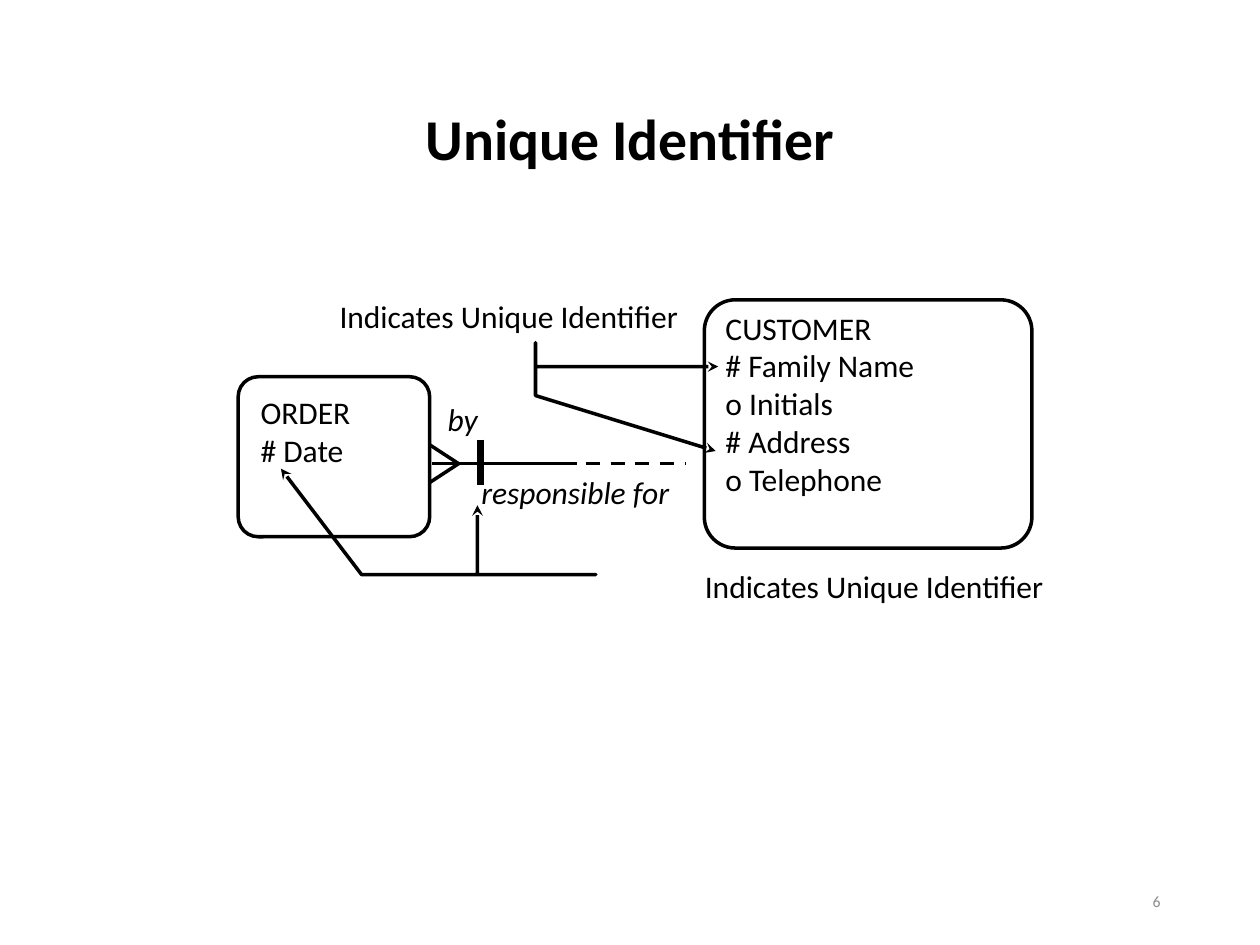
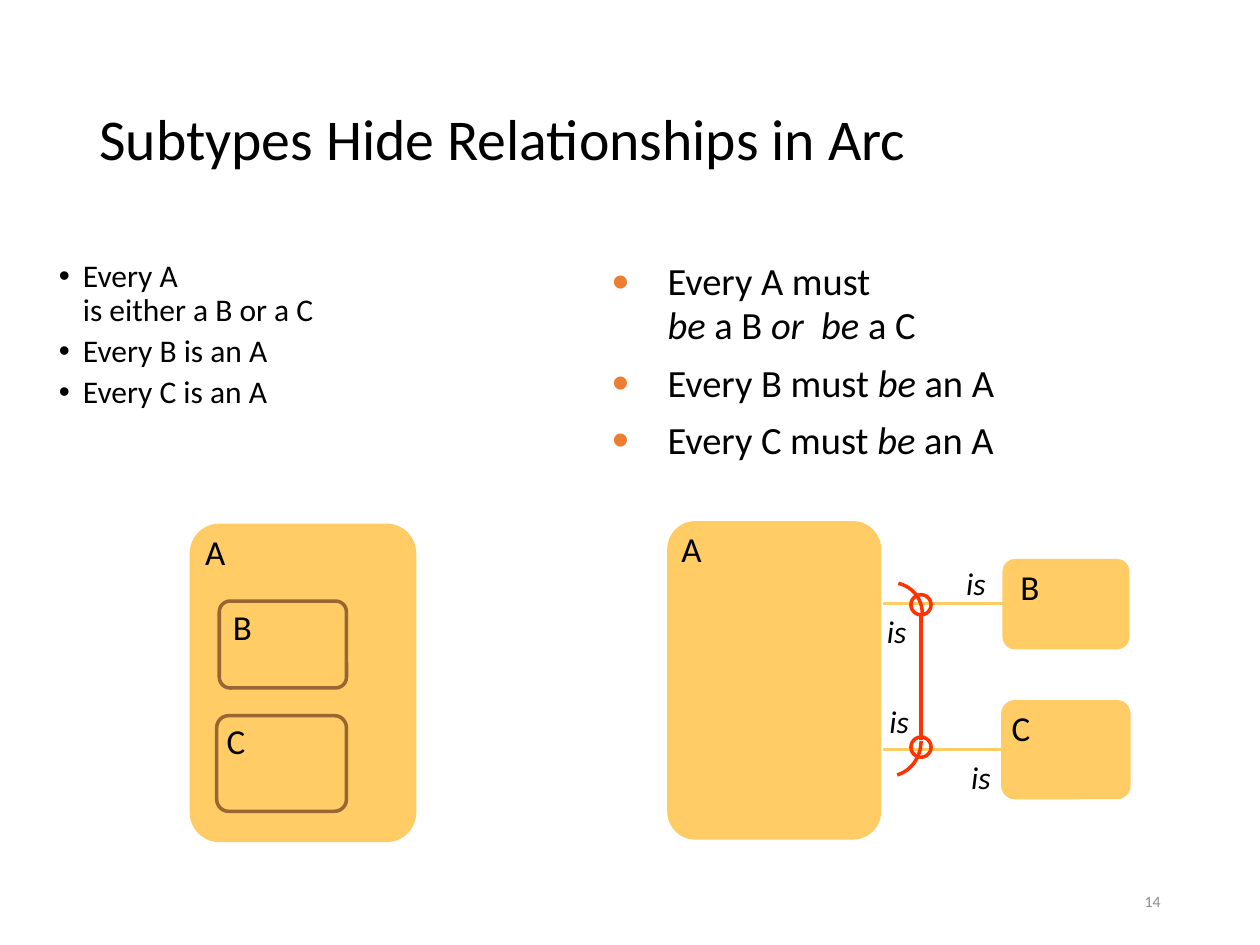
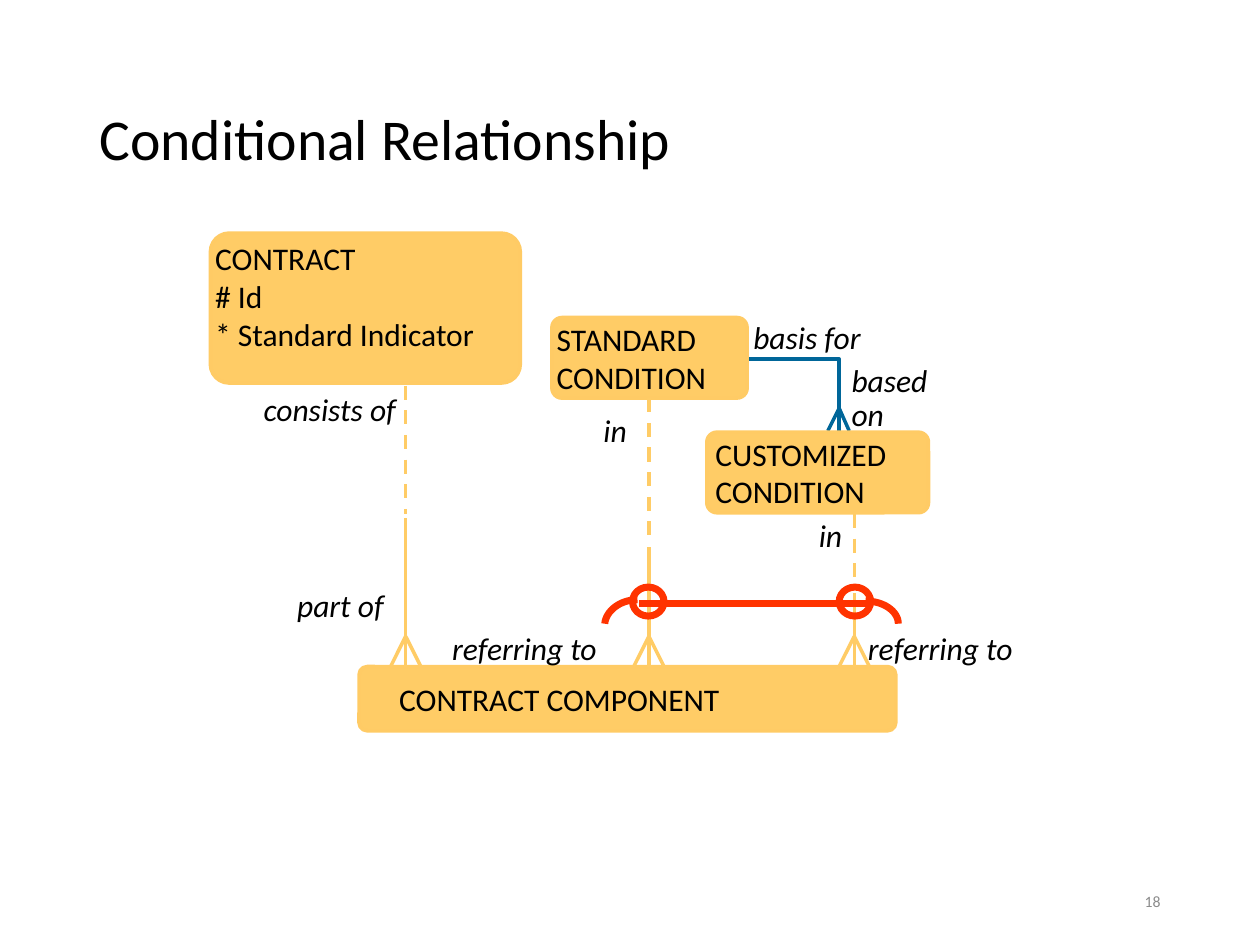
from dataclasses import dataclass
from typing import Any

from lxml import etree
from pptx import Presentation
from pptx import util as u
from pptx.dml import color
from pptx.enum import dml, shapes, text
from pptx.oxml import ns

COLORS = {
    "ink": "000000",
    "number": "8C8C8C",
    "entity": "FFCC66",
    "edge": "FFCB65",
    "subtype": "996633",
    "arc": "FF3300",
    "basis": "006699",
    "bullet": "ED7D31",
}
FONT = "Calibri"
LEFT, CENTER, RIGHT = text.PP_ALIGN.LEFT, text.PP_ALIGN.CENTER, text.PP_ALIGN.RIGHT
MIDDLE = text.MSO_ANCHOR.MIDDLE
CORNER = 0.125

TITLE_BOX = (0.69, 0.4, 8.62, 1.45)
NUMBER_BOX = (7.06, 6.95, 2.25, 0.4)

STYLES = {
    "title": {"font": {"size": u.Pt(33)}, "paragraph": {"line_spacing": 0.9},
              "frame": {"vertical_anchor": MIDDLE}},
    "number": {"font": {"size": u.Pt(9)}, "frame": {"vertical_anchor": MIDDLE}, "color": "number"},
    "label": {"font": {"size": u.Pt(18)}},
    "letter": {"font": {"size": u.Pt(20)}},
    "role": {"font": {"size": u.Pt(18), "italic": True}},
    "tight role": {"font": {"size": u.Pt(18), "italic": True},
                   "paragraph": {"line_spacing": 0.9}},
    "points": {"font": {"size": u.Pt(18)},
               "paragraph": {"line_spacing": 0.9, "space_before": u.Pt(3.8)},
               "bullet": {"margin": 0.56, "hang": 0.19, "shade": "ink", "percent": 100}},
    "rules": {"font": {"size": u.Pt(22)},
              "paragraph": {"line_spacing": 0.95, "space_before": u.Pt(7.7)},
              "bullet": {"margin": 0.44, "hang": 0.44, "shade": "bullet", "percent": 125}},
}


def rgb(name):
    return color.RGBColor.from_string(COLORS[name])


def set_all(target, values):
    for name, value in values.items():
        setattr(target, name, value)


def add_xml(parent, tag, **attributes):
    return etree.SubElement(parent, ns.qn(tag), attributes)


def add_bullet(paragraph, margin, hang, shade, percent):
    properties = paragraph._p.get_or_add_pPr()
    properties.set("marL", str(u.Inches(margin)))
    properties.set("indent", str(-u.Inches(hang)))
    add_xml(add_xml(properties, "a:buClr"), "a:srgbClr", val=COLORS[shade])
    add_xml(properties, "a:buSzPct", val=str(percent * 1000))
    add_xml(properties, "a:buFont", typeface="Arial")
    add_xml(properties, "a:buChar", char="•")


def style_line(line, name, width, dashed=False):
    line.color.rgb = rgb(name)
    line.width = u.Pt(width)
    if dashed:
        line.dash_style = dml.MSO_LINE.DASH


def bend(start, first, second, end, steps=16):
    return [tuple((1 - t) ** 3 * a + 3 * (1 - t) ** 2 * t * b + 3 * (1 - t) * t ** 2 * c + t ** 3 * d
                  for a, b, c, d in zip(start, first, second, end))
            for t in (step / steps for step in range(steps + 1))]


@dataclass
class Region:
    slide: Any
    left: float = 0
    top: float = 0

    def point(self, x, y):
        return u.Inches(self.left + x), u.Inches(self.top + y)

    def place(self, x, y, width, height):
        return *self.point(x, y), u.Inches(width), u.Inches(height)

    def label(self, box, paragraphs, style="label", align=LEFT, **font):
        look = STYLES[style]
        frame = self.slide.shapes.add_textbox(*self.place(*box)).text_frame
        set_all(frame, {"word_wrap": True, **look.get("frame", {})})
        for index, wording in enumerate(paragraphs):
            paragraph = frame.add_paragraph() if index else frame.paragraphs[0]
            set_all(paragraph, {"alignment": align, **look.get("paragraph", {})})
            if "bullet" in look:
                add_bullet(paragraph, **look["bullet"])
            for part, piece in enumerate(wording.split("_")):
                for row, words in enumerate(piece.split("\n")):
                    if row:
                        paragraph.add_line_break()
                    if words:
                        run = paragraph.add_run()
                        run.text = words
                        set_all(run.font, {"name": FONT, "italic": part % 2 == 1, **look["font"], **font})
                        run.font.color.rgb = rgb(look.get("color", "ink"))

    def outline(self, kind, box, edge, fill=None, width=2):
        shape = self.slide.shapes.add_shape(kind, *self.place(*box))
        shape.shadow.inherit = False
        if fill:
            shape.fill.solid()
            shape.fill.fore_color.rgb = rgb(fill)
        else:
            shape.fill.background()
        style_line(shape.line, edge, width)
        return shape

    def entity(self, box, edge="edge", fill="entity"):
        shape = self.outline(shapes.MSO_SHAPE.ROUNDED_RECTANGLE, box, edge, fill)
        shape.adjustments[0] = CORNER

    def ring(self, box, width=2):
        self.outline(shapes.MSO_SHAPE.OVAL, box, "arc", width=width)

    def link(self, start, end, name, width=2, dashed=False):
        connector = self.slide.shapes.add_connector(
            shapes.MSO_CONNECTOR.STRAIGHT, *self.point(*start), *self.point(*end))
        style_line(connector.line, name, width, dashed)
        add_xml(connector._element.spPr, "a:effectLst")

    def crow_foot(self, apex, toes, name):
        for toe in toes:
            self.link(toe, apex, name)

    def trace(self, points, name, width=2, arrows=False):
        start, *others = [self.point(*point) for point in points]
        builder = self.slide.shapes.build_freeform(*start)
        builder.add_line_segments(others, close=False)
        route = builder.convert_to_shape()
        route.shadow.inherit = False
        route.fill.background()
        style_line(route.line, name, width)
        if arrows:
            for end in ("a:headEnd", "a:tailEnd"):
                add_xml(route.line._get_or_add_ln(), end, type="stealth")


def add_page(deck, title, number, align=LEFT, bold=False):
    slide = deck.slides.add_slide(deck.slide_layouts[6])
    page = Region(slide)
    page.label(TITLE_BOX, [title], "title", align, bold=bold)
    page.label(NUMBER_BOX, [str(number)], "number", RIGHT)
    return slide


def draw_identifiers(region):
    region.entity((4.59, 0.38, 2.6, 1.97), "ink", None)
    region.label((4.66, 0.4, 2.67, 1.6), ["CUSTOMER\n# Family Name\no Initials\n# Address\no Telephone"])
    region.entity((0.89, 0.99, 1.52, 1.27), "ink", None)
    region.label((0.97, 1.07, 1.56, 0.7), ["ORDER\n# Date"])
    for box in ((0.33, 0.31, 4.15, 0.4), (3.35, 2.45, 4.03, 0.4)):
        region.label(box, ["Indicates Unique Identifier"], align=RIGHT)
    region.label((2.65, 1.74, 1.76, 0.64), ["responsible for"], "tight role", RIGHT)
    region.label((2.33, 1.16, 0.56, 0.37), ["by"], "tight role", RIGHT)

    region.crow_foot((2.64, 1.68), ((2.41, 1.53), (2.41, 1.83)), "ink")
    region.link((2.81, 1.49), (2.81, 1.85), "ink", 4)
    region.link((2.43, 1.68), (3.58, 1.68), "ink")
    region.link((3.65, 1.68), (4.44, 1.68), "ink", dashed=True)

    customer_pointer = ((4.68, 1.58), (3.25, 1.14), (3.25, 0.72), (3.25, 0.91), (4.7, 0.91))
    order_pointer = ((1.23, 1.72), (1.87, 2.56), (3.73, 2.56), (2.79, 2.56), (2.79, 2.01))
    for pointer in (customer_pointer, order_pointer):
        region.trace(pointer, "ink", arrows=True)


def draw_subtypes(region):
    region.entity((0.52, 0.17, 1.77, 2.5))
    for box in ((0.74, 0.77, 1.01, 0.69), (0.72, 1.68, 1.03, 0.76)):
        region.entity(box, "subtype", None)
    for letter, x, y in (("A", 0.53, 0.16), ("B", 0.75, 0.76), ("C", 0.7, 1.66)):
        region.label((x, y, 0.72, 0.44), [letter], "letter")


def draw_arc_relationships(region):
    for box in ((0.31, 0.15, 1.67, 2.5), (2.97, 0.45, 0.98, 0.69), (2.96, 1.57, 1, 0.76)):
        region.entity(box)
    region.link((2.31, 1.87), (2.31, 0.88), "arc")
    for y in (0.79, 1.95):
        region.link((2.01, y), (2.96, y), "entity")
    for letter, x, y in (("A", 0.31, 0.14), ("B", 3, 0.44), ("C", 2.93, 1.56)):
        region.label((x, y, 0.7, 0.44), [letter], "letter")
    for x, y in ((1.94, 0.81), (2.57, 0.43), (2.61, 1.97), (1.96, 1.52)):
        region.label((x, y, 0.45, 0.4), ["is"], "role")
    region.trace(bend((2.13, 0.63), (2.25, 0.66), (2.32, 0.76), (2.32, 0.87)), "arc")
    region.trace(bend((2.31, 1.88), (2.31, 2.01), (2.23, 2.12), (2.12, 2.15)), "arc")
    for y in (0.72, 1.85):
        region.ring((2.23, y, 0.16, 0.16))


def draw_conditions(region):
    region.crow_foot((5.66, 2.24), ((5.57, 2.42), (5.74, 2.42)), "basis")
    region.trace(((5.66, 2.42), (5.66, 1.85), (4.93, 1.85)), "basis")

    entities = (
        ("CONTRACT\n# Id\n* Standard Indicator", (0.67, 0.85, 2.46, 1.19), (0.61, 0.85, 2.7, 1)),
        ("STANDARD\nCONDITION", (3.38, 1.52, 1.55, 0.64), (3.32, 1.49, 2.1, 0.7)),
        ("CUSTOMIZED\nCONDITION", (4.61, 2.43, 1.76, 0.64), (4.58, 2.4, 2.1, 0.7)),
        ("CONTRACT COMPONENT", (1.85, 4.29, 4.26, 0.51), (2.07, 4.35, 3.93, 0.4)),
    )
    for wording, box, label_box in entities:
        region.entity(box)
        region.label(label_box, [wording])

    base, apex, spread = 4.29, 4.05, 0.12
    for x, start, middle in ((2.22, 2.06, 3.1), (4.15, 2.16, 3.33), (5.78, 3.08, 3.7)):
        region.link((x, start), (x, middle - 0.02), "entity", dashed=True)
        region.link((x, base), (x, middle + 0.01), "entity")
        region.crow_foot((x, apex), ((x - spread, base), (x + spread, base)), "entity")

    roles = (
        ("consists of", (0.99, 2.05, 1.25, 0.7), "role", RIGHT),
        ("part of", (1.26, 3.6, 0.99, 0.4), "role", LEFT),
        ("in", (3.69, 2.21, 0.65, 0.4), "role", LEFT),
        ("in", (5.4, 3.05, 0.65, 0.4), "role", LEFT),
        ("referring to", (2.49, 3.94, 1.71, 0.4), "role", LEFT),
        ("referring to", (5.79, 3.94, 1.65, 0.4), "role", LEFT),
        ("basis for", (4.88, 1.51, 1.48, 0.37), "tight role", LEFT),
        ("based \non", (5.66, 1.85, 1.25, 0.64), "tight role", LEFT),
    )
    for wording, box, style, align in roles:
        region.label(box, [wording], style, align)

    region.link((4.07, 3.79), (5.9, 3.79), "arc", 4)
    region.trace(bend((3.8, 3.95), (3.81, 3.85), (3.92, 3.76), (4.06, 3.76)), "arc", 4)
    region.trace(bend((5.87, 3.77), (6.01, 3.77), (6.13, 3.85), (6.13, 3.95)), "arc", 4)
    for x in (4.02, 5.66):
        region.ring((x, 3.66, 0.25, 0.23), 4)


deck = Presentation()
set_all(deck, {"slide_width": u.Inches(10), "slide_height": u.Inches(7.5)})

identifier_slide = add_page(deck, "Unique Identifier", 6, CENTER, True)
draw_identifiers(Region(identifier_slide, 1, 2))

subtype_slide = add_page(deck, "Subtypes Hide Relationships in Arc", 14)
statements = Region(subtype_slide, 0, 2.02)
statements.label((0, 0, 3.5, 1.64),
                 ["Every A \nis either a B or a C", "Every B is an A", "Every C is an A"], "points")
statements.label((4.76, 0, 3.97, 1.75),
                 ["Every A must \n_be_ a B _or  be_ a C", "Every B must _be_ an A", "Every C must _be_ an A"],
                 "rules")
draw_subtypes(Region(subtype_slide, 1, 4))
draw_arc_relationships(Region(subtype_slide, 5, 4))

condition_slide = add_page(deck, "Conditional Relationship", 18)
draw_conditions(Region(condition_slide, 1, 1))

deck.save("out.pptx")
